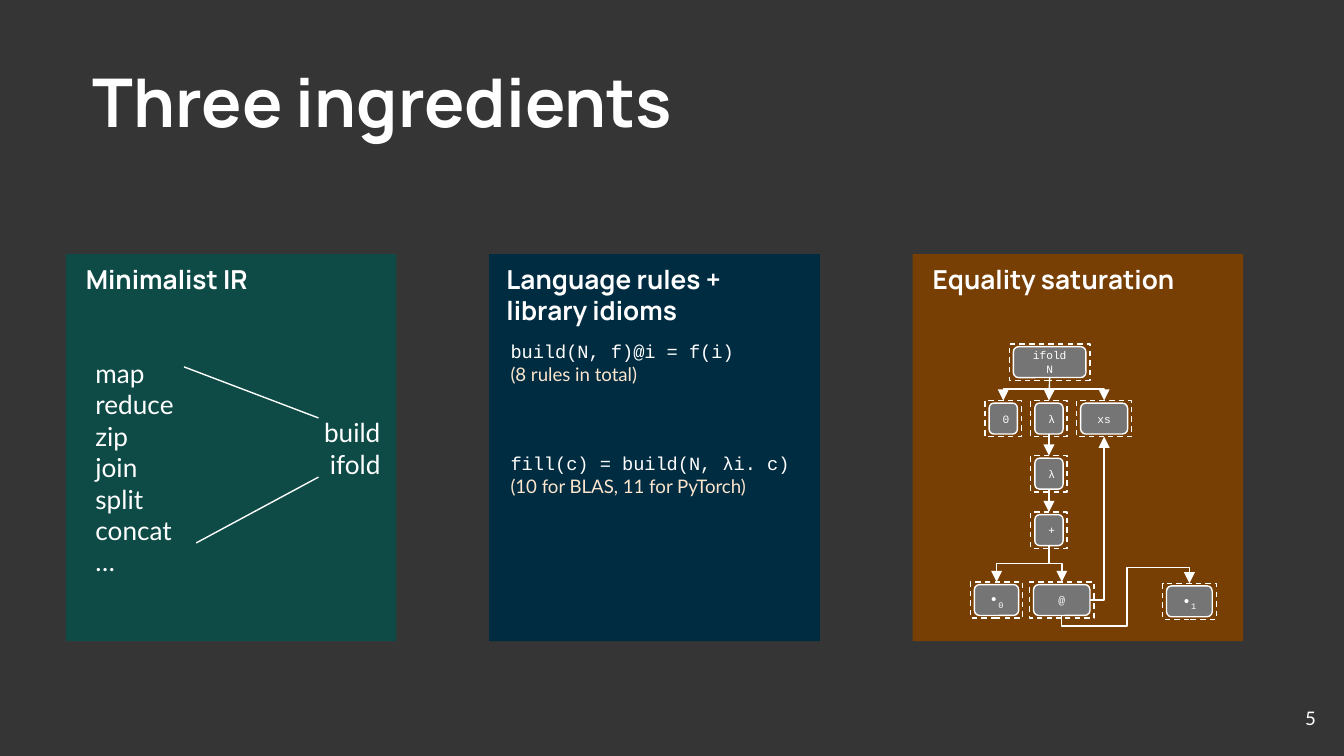
from lxml.etree import SubElement
from pptx import Presentation
from pptx.dml.color import RGBColor
from pptx.enum.dml import MSO_LINE
from pptx.enum.shapes import MSO_CONNECTOR, MSO_SHAPE
from pptx.enum.text import MSO_ANCHOR, MSO_AUTO_SIZE, PP_ALIGN
from pptx.oxml.ns import qn
from pptx.util import Emu, Inches, Pt

WHITE, CREAM, GREY = "FFFFFF", "FCE5CD", "757575"
HEAD, BODY, CODE = "Manrope", "Lato", "Courier New"

# heading, heading left, fill, rotation, callout tip
CARDS = [
    ("Minimalist IR", 0.54, "0E4B47", 270, (-0.27, 0.5)),
    ("Language rules +\vlibrary idioms", 3.67, "002C42", 270, (-0.27, 0.5)),
    ("Equality saturation", 6.84, "783F04", 90, (-0.16, 0.5)),
]
OLD_OPS = ["map", "reduce", "zip", "join", "split", "concat", "…"]
NEW_OPS = ["build", "ifold"]
FUNNEL = [((1.37, 2.73), (2.37, 3.11)), ((1.46, 4.04), (2.37, 3.55))]
RULES = [
    ("build(N, f)@i = f(i)", "(8 rules in total)"),
    ("fill(c) = build(N, λi. c)", "(10 for BLAS, 11 for PyTorch)"),
]
# key: text, subscript, left, top, width of the dashed frame
NODES = {
    "fold": ("ifold N", "", 7.51, 2.56, 0.6),
    "zero": ("0", "", 7.33, 2.98, 0.27),
    "outer": ("λ", "", 7.67, 2.98, 0.27),
    "xs": ("xs", "", 8.01, 2.98, 0.41),
    "inner": ("λ", "", 7.67, 3.39, 0.27),
    "plus": ("+", "", 7.67, 3.81, 0.27),
    "var0": ("•", "0", 7.22, 4.33, 0.39),
    "at": ("@", "", 7.66, 4.33, 0.48),
    "var1": ("•", "1", 8.65, 4.34, 0.4),
}
STRAIGHT = [("fold", "outer"), ("outer", "inner"), ("inner", "plus")]
BENT = [("fold", "zero"), ("fold", "xs"), ("plus", "var0"), ("plus", "at")]
FRAME_H, GAP_X, GAP_Y = 0.27, 0.03, 0.02


def rgb(code):
    return RGBColor.from_string(code)


def style(font, size, name, color=WHITE, bold=None):
    font.size, font.name, font.bold = Pt(size), name, bold
    font.color.rgb = rgb(color)


def place(shape, *box):
    shape.left, shape.top, shape.width, shape.height = map(Inches, box)


def setup(shape, anchor=MSO_ANCHOR.TOP):
    """Give the text frame equal insets, wrapping and a fixed size."""
    frame = shape.text_frame
    frame.word_wrap, frame.auto_size = True, MSO_AUTO_SIZE.NONE
    frame.vertical_anchor = anchor
    frame.margin_left = frame.margin_right = Inches(0.1)
    frame.margin_top = frame.margin_bottom = Inches(0.1)
    return frame


def write(shape, lines, size, name, align=PP_ALIGN.LEFT, bold=None,
          anchor=MSO_ANCHOR.TOP):
    frame = setup(shape, anchor)
    for i, line in enumerate(lines):
        para = frame.add_paragraph() if i else frame.paragraphs[0]
        para.text, para.alignment = line, align
        para.space_before = Pt(0)
        if shape.is_placeholder:
            props = para._p.get_or_add_pPr()
            props.set("marL", "0")
            props.set("indent", "0")
            SubElement(props, qn("a:buNone"))
        style(para.font, size, name, bold=bold)


def textbox(*box):
    return shapes.add_textbox(*map(Inches, box))


def preset(kind, box, fill=None):
    shape = shapes.add_shape(kind, *map(Inches, box))
    shape.shadow.inherit = False
    if fill:
        shape.fill.solid()
        shape.fill.fore_color.rgb = rgb(fill)
    else:
        shape.fill.background()
    return shape


def outline(line):
    line.color.rgb, line.width = rgb(WHITE), Pt(0.75)


def link(start, end, kind=MSO_CONNECTOR.STRAIGHT, arrow=True):
    line = shapes.add_connector(kind, *map(Emu, (*start, *end)))
    outline(line.line)
    if arrow:
        SubElement(line.line._get_or_add_ln(), qn("a:tailEnd"), type="triangle")
    SubElement(line._element.spPr, qn("a:effectLst"))
    return line


def elbow(start, end, adjust=()):
    """Bent arrow that leaves and arrives vertically."""
    line = link(start, end, MSO_CONNECTOR.ELBOW)
    (x1, y1), (x2, y2) = start, end
    wide, high = abs(y2 - y1), abs(x2 - x1)
    line.left, line.top = (x1 + x2 - wide) // 2, (y1 + y2 - high) // 2
    line.width, line.height = wide, high
    frame = line._element.spPr.find(qn("a:xfrm"))
    for key in ("flipH", "flipV"):
        frame.attrib.pop(key, None)
    frame.set("rot", str((90 if x2 < x1 else 270) * 60000))
    if x2 >= x1 and y2 > y1:
        frame.set("flipH", "1")
    if adjust:
        shape = line._element.spPr.find(qn("a:prstGeom"))
        shape.set("prst", "bentConnector5")
        guides = shape.find(qn("a:avLst"))
        for i, value in enumerate(adjust, 1):
            SubElement(guides, qn("a:gd"), name=f"adj{i}",
                       fmla=f"val {round(value * 100000)}")


def top(shape):
    return shape.left + shape.width // 2, shape.top


def bottom(shape):
    return shape.left + shape.width // 2, shape.top + shape.height


def right(shape):
    return shape.left + shape.width, shape.top + shape.height // 2


def node(text, sub, x, y, width):
    frame = preset(MSO_SHAPE.RECTANGLE, (x, y, width, FRAME_H))
    outline(frame.line)
    frame.line.dash_style = MSO_LINE.DASH
    box = preset(MSO_SHAPE.ROUNDED_RECTANGLE,
                 (x + GAP_X, y + GAP_Y, width - 2 * GAP_X, FRAME_H - 2 * GAP_Y), GREY)
    outline(box.line)
    write(box, [text], 8 if sub else 6, CODE, PP_ALIGN.CENTER, anchor=MSO_ANCHOR.MIDDLE)
    if sub:
        run = box.text_frame.paragraphs[0].add_run()
        run.text = sub
        run._r.get_or_add_rPr().set("baseline", "-25000")
    return frame, box


prs = Presentation()
prs.slide_width, prs.slide_height = Inches(10), Inches(10 * 9 / 16)
slide = prs.slides.add_slide(prs.slide_layouts[1])
shapes = slide.shapes
slide.background.fill.solid()
slide.background.fill.fore_color.rgb = rgb("353535")

for i, (heading, left, fill, turn, tip) in enumerate(CARDS):
    card = preset(MSO_SHAPE.RECTANGULAR_CALLOUT, (0.28 + 3.15 * i, 2.1, 2.88, 2.46), fill)
    card.line.fill.background()
    card.rotation = turn
    card.adjustments[0], card.adjustments[1] = tip
    write(textbox(left, 1.86, 2.71, 2.19), [heading], 14, HEAD, bold=True)

title, ops = shapes.title, slide.placeholders[1]
place(title, 0.59, 0.35, 8.4, 0.84)
write(title, ["Three ingredients"], 36, HEAD, bold=True)
place(ops, 0.61, 2.56, 1.07, 1.85)
write(ops, OLD_OPS, 14, BODY)
for holder in (ops, title):
    shapes._spTree.append(holder._element)
write(textbox(1.86, 3, 1.07, 0.67), NEW_OPS, 14, BODY, PP_ALIGN.RIGHT)
for start, end in FUNNEL:
    link(map(Inches, start), map(Inches, end), arrow=False)

rules = setup(textbox(3.7, 2.43, 2.31, 1.85))
for i, (code, note) in enumerate(RULES):
    para = rules.add_paragraph() if i else rules.paragraphs[0]
    para.space_before = Pt(36 * i)
    for text, name, color in ((code, CODE, WHITE), (note, BODY, CREAM)):
        if text == note:
            para.add_line_break()
        run = para.add_run()
        run.text = text
        style(run.font, 10, name, color)

graph = {key: node(*spec) for key, spec in NODES.items()}
for source, target in STRAIGHT:
    box, frame = graph[source][1], graph[target][0]
    arrow = link(bottom(box), top(frame))
    arrow.begin_connect(box, 2)
    arrow.end_connect(frame, 0)
for source, target in BENT:
    elbow(bottom(graph[source][1]), top(graph[target][0]))
call = graph["at"][1]
elbow(bottom(call), top(graph["var1"][0]), (-0.32, 0.51, 1.49))
back = link(right(call), bottom(graph["xs"][0]), MSO_CONNECTOR.ELBOW)
back._element.spPr.find(qn("a:prstGeom")).set("prst", "bentConnector2")

write(textbox(9.29, 5.13, 0.6, 0.43), ["5"], 10, BODY, PP_ALIGN.RIGHT,
      anchor=MSO_ANCHOR.MIDDLE)
prs.save("out.pptx")
